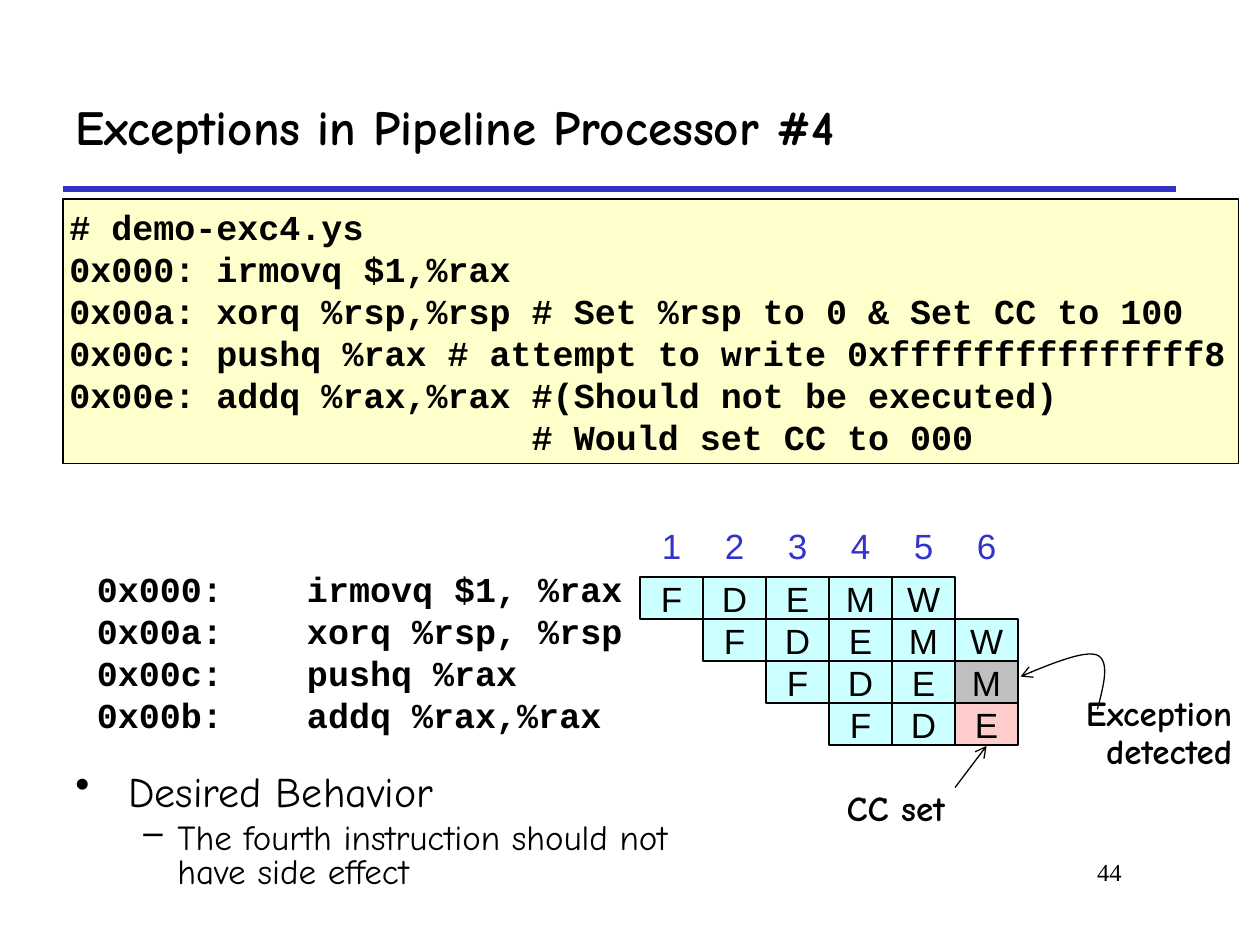
from pptx import Presentation
from pptx import util as u
from pptx.dml.color import RGBColor
from pptx.enum import shapes, text
from pptx.oxml.ns import qn
from lxml import etree

THEME = dict(
    ink="000000", accent="3333CC", paper="FFFFFF", code="FFFFCC",
    stage="CCFFFF", fault="BFBFBF", cc="FFCCCC",
    prose="Comic Neue", mono="Courier New", sans="Arial", serif="Times New Roman",
    title=28, lead=24, body=20, number=14,
)
TITLE = "Exceptions in Pipeline Processor #4"
PROGRAM = [
    "# demo-exc4.ys",
    "0x000: irmovq $1,%rax",
    "0x00a: xorq %rsp,%rsp # Set %rsp to 0 & Set CC to 100",
    "0x00c: pushq %rax # attempt to write 0xfffffffffffffff8",
    "0x00e: addq %rax,%rax #(Should not be executed)",
    "                      # Would set CC to 000",
]
PIPELINE = [
    ("0x000:    irmovq $1, %rax", "FDEMW"),
    ("0x00a:    xorq %rsp, %rsp", "FDEMW"),
    ("0x00c:    pushq %rax", "FDEM"),
    ("0x00b:    addq %rax,%rax", "FDE"),
]
HIGHLIGHTS = {(2, 5): "fault", (3, 5): "cc"}
BULLETS = [
    dict(content="Desired Behavior", char="•", size="lead", left=0.42, hang=0.42, before=0),
    dict(content="The fourth instruction should not have side effect", char="–",
         size="body", left=0.81, hang=0.27, before=5),
]
CYCLES = 6
GRID_X, GRID_Y, CELL_W, CELL_H = 5.08, 4.58, 0.5, 1 / 3
CURVE_START = (8.71, 5.63)
CURVE = [
    ((8.76, 5.44), (8.81, 5.25), (8.71, 5.2)),
    ((8.61, 5.16), (8.36, 5.26), (8.1, 5.37)),
]
ALIGN = dict(l=text.PP_ALIGN.LEFT, c=text.PP_ALIGN.CENTER, r=text.PP_ALIGN.RIGHT)


def color(name):
    return RGBColor.from_string(THEME[name])


def put_text(sp, lines, font="prose", size="body", ink="ink", bold=False, align="l",
             middle=False, wrap=True, inset=(0.1, 0.05), spacing=None):
    tf = sp.text_frame
    tf.word_wrap = wrap
    tf.vertical_anchor = text.MSO_ANCHOR.MIDDLE if middle else text.MSO_ANCHOR.TOP
    tf.margin_left = tf.margin_right = u.Inches(inset[0])
    tf.margin_top = tf.margin_bottom = u.Inches(inset[1])
    for i, line in enumerate(lines):
        p = tf.paragraphs[0] if i == 0 else tf.add_paragraph()
        p.alignment = ALIGN[align]
        if spacing:
            p.line_spacing = spacing
        r = p.add_run()
        r.text = line
        r.font.name, r.font.size, r.font.bold = THEME[font], u.Pt(THEME[size]), bold
        r.font.color.rgb = color(ink)
    return tf


def add_label(s, box, lines, **fmt):
    sp = s.shapes.add_textbox(*map(u.Inches, box))
    return put_text(sp, lines, **fmt)


def add_box(s, box, lines, fill, line=None, **fmt):
    sp = s.shapes.add_shape(shapes.MSO_SHAPE.RECTANGLE, *map(u.Inches, box))
    sp.shadow.inherit = False
    sp.fill.solid()
    sp.fill.fore_color.rgb = color(fill)
    if line:
        set_line(sp, "ink", line)
    else:
        sp.line.fill.background()
    put_text(sp, lines, **fmt)


def set_line(sp, ink, width, arrow=False):
    sp.line.color.rgb = color(ink)
    sp.line.width = u.Pt(width)
    if arrow:
        ln = sp._element.spPr.find(qn("a:ln"))
        etree.SubElement(ln, qn("a:tailEnd"), type="arrow")


def add_line(s, start, end, ink, width, arrow=False):
    sp = s.shapes.add_connector(shapes.MSO_CONNECTOR.STRAIGHT, *map(u.Inches, start + end))
    set_line(sp, ink, width, arrow)
    etree.SubElement(sp._element.spPr, qn("a:effectLst"))


def add_curve(s, start, segments, steps=16):
    points, p0 = [], start
    for p1, p2, p3 in segments:
        for t in (i / steps for i in range(1, steps + 1)):
            k = 1 - t
            points.append(tuple(
                u.Inches(k**3 * a + 3 * k * k * t * b + 3 * k * t * t * c + t**3 * d)
                for a, b, c, d in zip(p0, p1, p2, p3)))
        p0 = p3
    fb = s.shapes.build_freeform(*map(u.Inches, start))
    fb.add_line_segments(points, close=False)
    sp = fb.convert_to_shape()
    sp.shadow.inherit = False
    sp.fill.background()
    set_line(sp, "ink", 0.75, arrow=True)


def add_bullets(s, box, items):
    tf = add_label(s, box, [item["content"] for item in items], spacing=0.8)
    tf.margin_top = u.Inches(0.24)
    for p, item in zip(tf.paragraphs, items):
        p.space_before = u.Pt(item["before"])
        pPr = p._p.get_or_add_pPr()
        pPr.set("marL", str(u.Inches(item["left"])))
        pPr.set("indent", str(-u.Inches(item["hang"])))
        etree.SubElement(pPr, qn("a:buChar"), char=item["char"])
        p.runs[0].font.size = u.Pt(THEME[item["size"]])


def add_pipeline(s):
    cell = dict(font="sans", align="c", middle=True, wrap=False)
    for col in range(CYCLES):
        add_box(s, (GRID_X + col * CELL_W, 4.16, CELL_W, CELL_H), [str(col + 1)],
                "paper", ink="accent", **cell)
    for row, (instruction, stages) in enumerate(PIPELINE):
        add_box(s, (0.67, 4.5 + row * CELL_H, 2.84, CELL_H), [instruction], "paper",
                font="mono", bold=True, middle=True, wrap=False)
        for col, stage in enumerate(stages, start=row):
            box = (GRID_X + col * CELL_W, GRID_Y + row * CELL_H, CELL_W, CELL_H)
            add_box(s, box, [stage], HIGHLIGHTS.get((row, col), "stage"), line=1, **cell)


def main():
    prs = Presentation()
    prs.slide_width, prs.slide_height = u.Inches(10), u.Inches(7.5)
    s = prs.slides.add_slide(prs.slide_layouts[5])
    title = s.shapes.title
    title.left, title.top, title.width, title.height = map(u.Inches, (0.5, 0.5, 8.83, 1))
    put_text(title, [TITLE], size="title", bold=True, middle=True)
    add_line(s, (0.5, 1.5), (9.33, 1.5), "accent", 3)

    tight = (0.05, 0.05)
    add_bullets(s, (0.5, 5.91, 5.33, 1.26), BULLETS)
    add_box(s, (0.5, 1.58, 9.33, 2.1), PROGRAM, "code", line=0.75,
            font="mono", bold=True, inset=tight)
    add_pipeline(s)
    add_label(s, (8.33, 5.48, 1.5, 0.7), ["Exception detected"], bold=True,
              align="r", inset=tight, spacing=0.9)
    add_label(s, (6.67, 6.19, 1.33, 0.43), ["CC set"], bold=True, inset=tight)
    add_line(s, (7.58, 6.25), (7.83, 5.92), "ink", 0.75, arrow=True)
    add_curve(s, CURVE_START, CURVE)
    add_label(s, (7.58, 6.75, 1.42, 0.5), ["44"], font="serif", size="number", align="r")
    prs.save("out.pptx")


if __name__ == "__main__":
    main()
